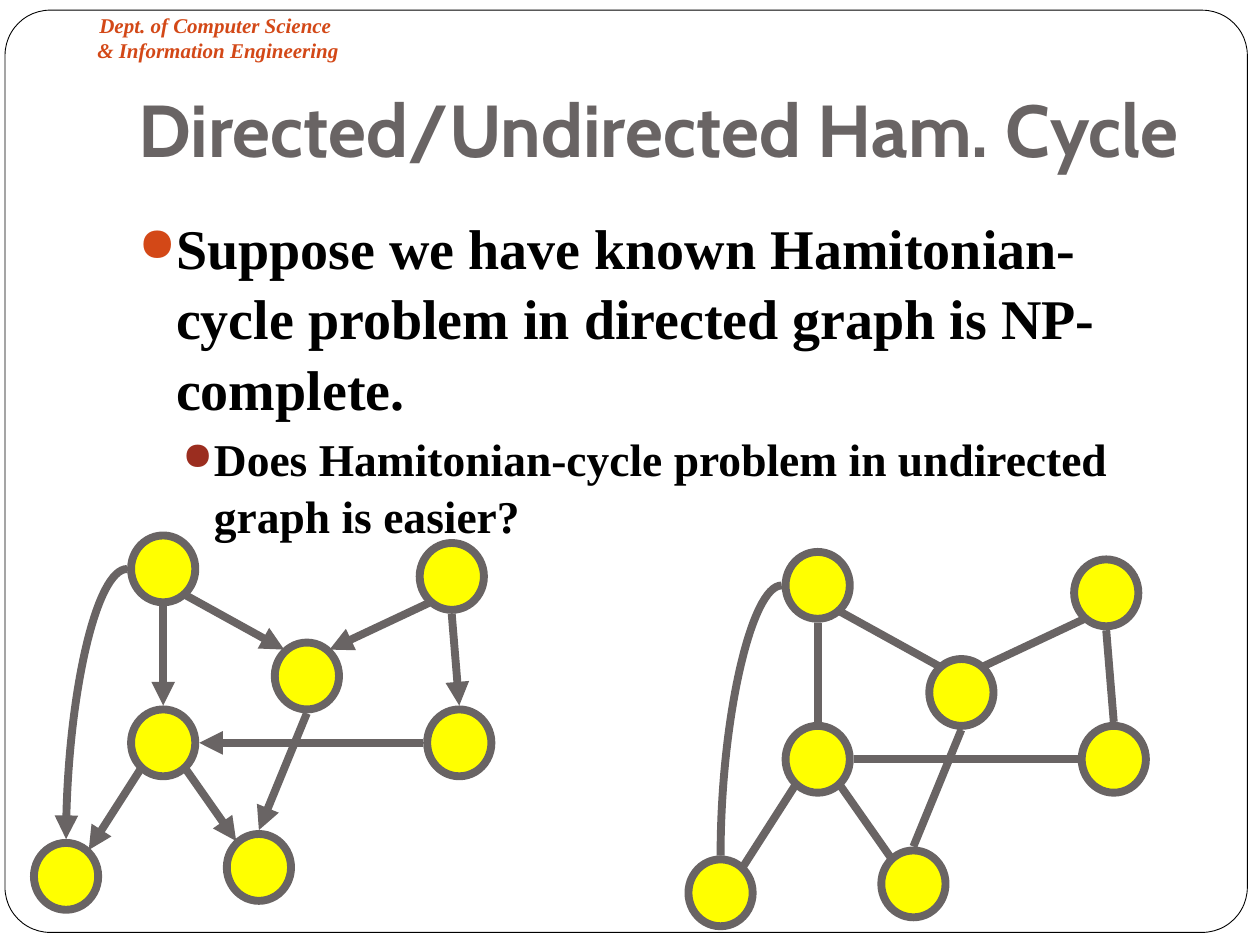
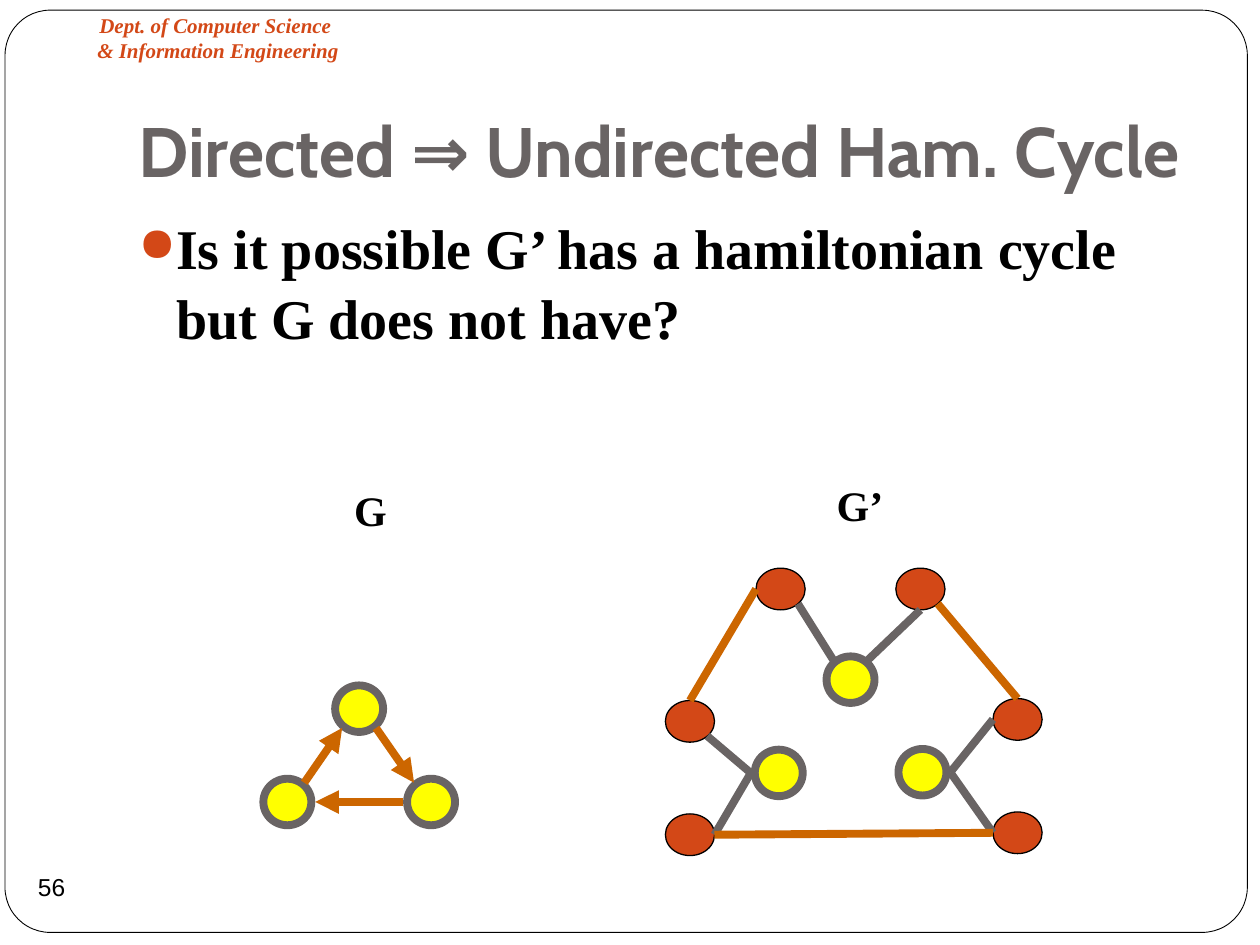
import collections
import math

import pptx
import pptx.chart.data
import pptx.dml.color
import pptx.enum.shapes
import pptx.enum.text
import pptx.oxml
import pptx.oxml.ns
import pptx.util
from lxml import etree

Pt = pptx.util.Pt
MSO_SHAPE = pptx.enum.shapes.MSO_SHAPE
MSO_CONNECTOR = pptx.enum.shapes.MSO_CONNECTOR
PP_ALIGN = pptx.enum.text.PP_ALIGN
MSO_ANCHOR = pptx.enum.text.MSO_ANCHOR

COLOURS = {
    "paper": "FFFFFF",
    "ink": "000000",
    "grey": "696464",
    "orange": "D34817",
    "maroon": "9B2D1F",
    "yellow": "FFFF00",
    "path": "CC6600",
}

SERIF = "Times New Roman"
FORMATS = {
    "department": {"name": SERIF, "size": Pt(12), "bold": True, "italic": True},
    "title": {"name": "Cabin", "size": Pt(42), "bold": True},
    "long title": {"name": "Cabin", "size": Pt(40), "bold": True},
    "point": {"name": SERIF, "size": Pt(32), "bold": True},
    "subpoint": {"name": SERIF, "size": Pt(26), "bold": True},
    "label": {"name": SERIF, "size": Pt(24), "bold": True},
    "number": {"name": "Arial", "size": Pt(14)},
}

Level = collections.namedtuple("Level", "format bullet left hanging before")
LEVELS = [
    Level("point", "orange", 21.6, 21.6, 0),
    Level("subpoint", "maroon", 43.2, 18, 3.8),
]

NodeKind = collections.namedtuple("NodeKind", "width height gap fill border weight")
BIG = NodeKind(36.7, 38.2, 2.25, "yellow", "grey", 4.5)
SMALL = NodeKind(27.4, 26.6, 2.25, "yellow", "grey", 4.5)
EXTRA = NodeKind(28.1, 23.8, 0, "orange", "ink", 0.75)

EDGE_WEIGHT = 4.5
DIAGONAL = math.sqrt(0.5)
COMPASS = {"n": (0, -1), "s": (0, 1), "w": (-1, 0), "e": (1, 0)}

HAM_NODES = {
    "a": (BIG, 74.9, 306),
    "b": (BIG, 239.8, 310.3),
    "c": (BIG, 157, 367.2),
    "d": (BIG, 74.9, 405.4),
    "e": (BIG, 244.1, 405.4),
    "f": (BIG, 129.6, 476.6),
    "g": (BIG, 19.4, 481.7),
}
HAM_EDGES = [
    ("a", "s", "d", "n"),
    ("a", "se", "c", "nw"),
    ("b", "sw", "c", "ne"),
    ("b", "s", "e", "n"),
    ("e", "w", "d", "e"),
    ("c", "s", "f", "n"),
    ("d", "se", "f", "nw"),
    ("d", "sw", "g", "ne"),
]
HAM_CURVE = ("a", "w", "g", "n")
UNDIRECTED_OFFSET = (374, 9.4)

G_NODES = {
    "top": (SMALL, 191.5, 391.7),
    "right": (SMALL, 232.6, 445),
    "left": (SMALL, 150.5, 445),
}
G_EDGES = [
    ("right", "w", "left", "e"),
    ("top", "se", "right", "nw"),
    ("left", "ne", "top", "sw"),
]

G_PRIME_NODES = {
    "top": (SMALL, 472.3, 375.1),
    "right": (SMALL, 513.4, 428),
    "left": (SMALL, 431.3, 428.4),
    "top in": (EXTRA, 432, 324.7),
    "top out": (EXTRA, 511.9, 324.7),
    "right in": (EXTRA, 567.4, 399.2),
    "right out": (EXTRA, 567.4, 464),
    "left out": (EXTRA, 380.2, 400.3),
    "left in": (EXTRA, 380.2, 465.1),
}
G_PRIME_LINKS = [
    ("left", "w", "left out", "se"),
    ("right in", "w", "right", "e"),
    ("top in", "se", "top", "nw"),
    ("top out", "s", "top", "ne"),
    ("right out", "w", "right", "e"),
    ("left", "w", "left in", "e"),
]
G_PRIME_EDGES = [
    ("right in", "n", "top out", "se"),
    ("right out", "w", "left in", "e"),
    ("left out", "n", "top in", "w"),
]


def rgb(colour):
    return pptx.dml.color.RGBColor.from_string(COLOURS[colour])


def format_runs(paragraph, format_name, colour):
    for run in paragraph.runs:
        for attribute, value in FORMATS[format_name].items():
            setattr(run.font, attribute, value)
        run.font.color.rgb = rgb(colour)


def add_text(slide, box, text, format_name, colour, align=PP_ALIGN.LEFT, **frame_format):
    frame = slide.shapes.add_textbox(*map(Pt, box)).text_frame
    for attribute, value in {"word_wrap": True, **frame_format}.items():
        setattr(frame, attribute, value)
    paragraph = frame.paragraphs[0]
    paragraph.text = text
    paragraph.alignment = align
    format_runs(paragraph, format_name, colour)


def add_bullet(paragraph, level):
    properties = paragraph._p.get_or_add_pPr()
    properties.set("marL", str(Pt(level.left)))
    properties.set("indent", str(-Pt(level.hanging)))
    colour = pptx.oxml.ns.qn("a:buClr")
    etree.SubElement(
        etree.SubElement(properties, colour),
        pptx.oxml.ns.qn("a:srgbClr"), val=COLOURS[level.bullet])
    etree.SubElement(properties, pptx.oxml.ns.qn("a:buSzPct"), val="85000")
    etree.SubElement(properties, pptx.oxml.ns.qn("a:buChar"), char="●")


def add_points(slide, points):
    frame = slide.shapes.add_textbox(Pt(72), Pt(114.5), Pt(612), Pt(360)).text_frame
    frame.word_wrap = True
    frame.margin_top = Pt(5.4)
    for index, (depth, text) in enumerate(points):
        level = LEVELS[depth]
        paragraph = frame.add_paragraph() if index else frame.paragraphs[0]
        add_bullet(paragraph, level)
        paragraph.level = depth
        paragraph.line_spacing = 1.05
        paragraph.space_before = Pt(level.before)
        paragraph.text = text
        format_runs(paragraph, level.format, "ink")


def add_outlined(shapes, preset, box, fill, border, weight):
    shape = shapes.add_shape(preset, *map(Pt, box))
    shape.shadow.inherit = False
    shape.fill.solid()
    shape.fill.fore_color.rgb = rgb(fill)
    shape.line.color.rgb = rgb(border)
    shape.line.width = Pt(weight)
    return shape


def add_nodes(shapes, nodes, offset=(0, 0)):
    for kind, left, top in nodes.values():
        box = (left + offset[0], top + offset[1], kind.width, kind.height)
        add_outlined(shapes, MSO_SHAPE.OVAL, box, kind.fill, kind.border, kind.weight)


def anchor(node, side, offset):
    kind, left, top = node
    x = left + offset[0] + kind.width / 2
    y = top + offset[1] + kind.height / 2
    across = sum(COMPASS[letter][0] for letter in side)
    down = sum(COMPASS[letter][1] for letter in side)
    reach_x = kind.width / 2 + kind.gap
    reach_y = kind.height / 2 + kind.gap
    if len(side) == 2:
        reach_x = kind.width / 2 * DIAGONAL
        reach_y *= DIAGONAL
    return Pt(x + across * reach_x), Pt(y + down * reach_y)


def add_edge(shapes, nodes, edge, colour, arrow=False, offset=(0, 0),
             route=MSO_CONNECTOR.STRAIGHT):
    start, start_side, end, end_side = edge
    connector = shapes.add_connector(
        route,
        *anchor(nodes[start], start_side, offset),
        *anchor(nodes[end], end_side, offset))
    connector.line.color.rgb = rgb(colour)
    connector.line.width = Pt(EDGE_WEIGHT)
    properties = connector._element.spPr
    etree.SubElement(properties, pptx.oxml.ns.qn("a:effectLst"))
    if arrow:
        outline = properties.find(pptx.oxml.ns.qn("a:ln"))
        etree.SubElement(outline, pptx.oxml.ns.qn("a:tailEnd"), type="triangle")
    return connector


def add_curve(shapes, nodes, edge, colour, arrow, offset):
    connector = add_edge(shapes, nodes, edge, colour, arrow, offset, MSO_CONNECTOR.CURVE)
    properties = connector._element.spPr
    properties.find(pptx.oxml.ns.qn("a:prstGeom")).set("prst", "curvedConnector2")
    placement = properties.find(pptx.oxml.ns.qn("a:xfrm"))
    del placement.attrib["flipH"]
    placement.set("rot", "10800000")
    placement.set("flipV", "1")


def add_ham_graph(shapes, arrow, offset=(0, 0)):
    add_nodes(shapes, HAM_NODES, offset)
    for edge in HAM_EDGES:
        add_edge(shapes, HAM_NODES, edge, "grey", arrow, offset)
    add_curve(shapes, HAM_NODES, HAM_CURVE, "grey", arrow, offset)


def add_base_slide(deck, title, title_format, title_top, points):
    slide = deck.slides.add_slide(deck.slide_layouts[6])
    border = add_outlined(slide.shapes, MSO_SHAPE.ROUNDED_RECTANGLE,
                          (2.9, 5.8, 709.9, 527), "paper", "ink", 0.5)
    border.adjustments[0] = 0.049
    add_text(slide, (42.5, 3.6, 164.2, 36),
             "Dept. of Computer Science \n& Information Engineering",
             "department", "orange", PP_ALIGN.CENTER)
    add_text(slide, (72, title_top, 612, 79.9), title, title_format, "grey",
             vertical_anchor=MSO_ANCHOR.BOTTOM, margin_bottom=Pt(7.2))
    add_points(slide, points)
    return slide


def main():
    deck = pptx.Presentation()
    deck.slide_width, deck.slide_height = Pt(720), Pt(540)

    question = add_base_slide(deck, "Directed/Undirected Ham. Cycle", "title", 25.9, [
        (0, "Suppose we have known Hamitonian-cycle problem in directed graph is NP-complete."),
        (1, "Does Hamitonian-cycle problem in undirected graph is easier?"),
    ])
    add_ham_graph(question.shapes.add_group_shape().shapes, arrow=True)
    add_ham_graph(question.shapes, arrow=False, offset=UNDIRECTED_OFFSET)

    reduction = add_base_slide(deck, "Directed ⇒ Undirected Ham. Cycle", "long title", 36.7, [
        (0, "Is it possible G’ has a hamiltonian cycle but G does not have?"),
    ])
    add_text(reduction, (11.5, 488.9, 36, 36), "56", "number", "ink", PP_ALIGN.CENTER,
             vertical_anchor=MSO_ANCHOR.MIDDLE, word_wrap=False, margin_left=0,
             margin_right=0, margin_top=0, margin_bottom=0)
    add_nodes(reduction.shapes, G_NODES)
    for edge in G_EDGES:
        add_edge(reduction.shapes, G_NODES, edge, "path", arrow=True)
    add_nodes(reduction.shapes, G_PRIME_NODES)
    for colour, edges in (("grey", G_PRIME_LINKS), ("path", G_PRIME_EDGES)):
        for edge in edges:
            add_edge(reduction.shapes, G_PRIME_NODES, edge, colour)
    for text, box in (("G’", (470.9, 270.7, 41, 36)), ("G", (195.1, 273.6, 33.1, 36))):
        add_text(reduction, box, text, "label", "ink", PP_ALIGN.RIGHT, word_wrap=False)

    deck.save("out.pptx")


if __name__ == "__main__":
    main()
